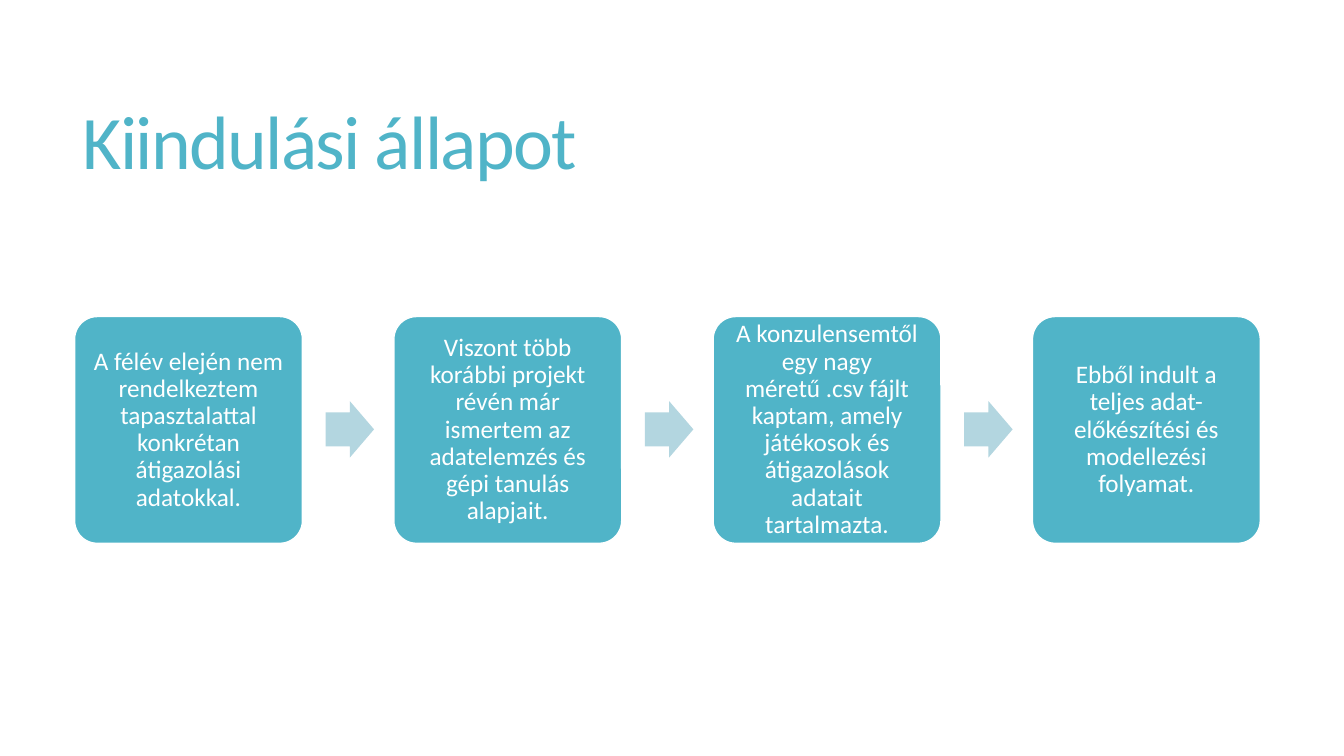
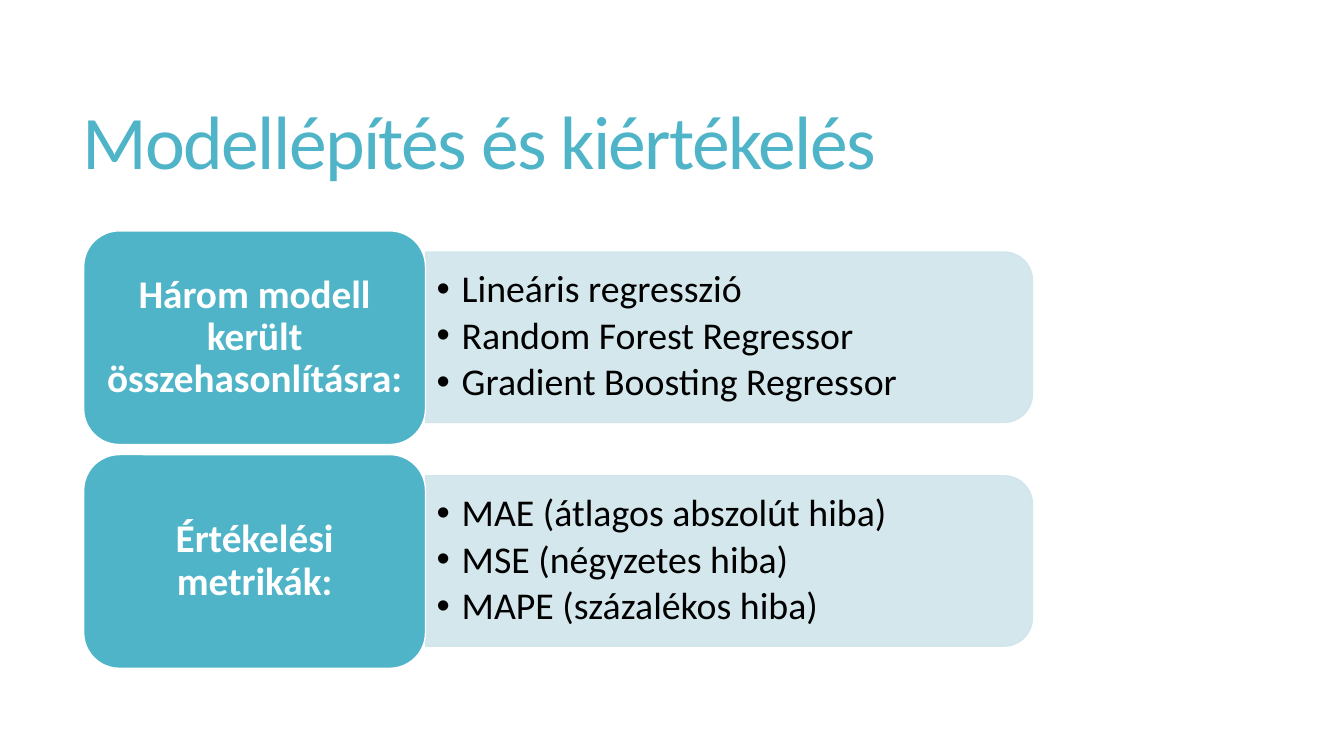
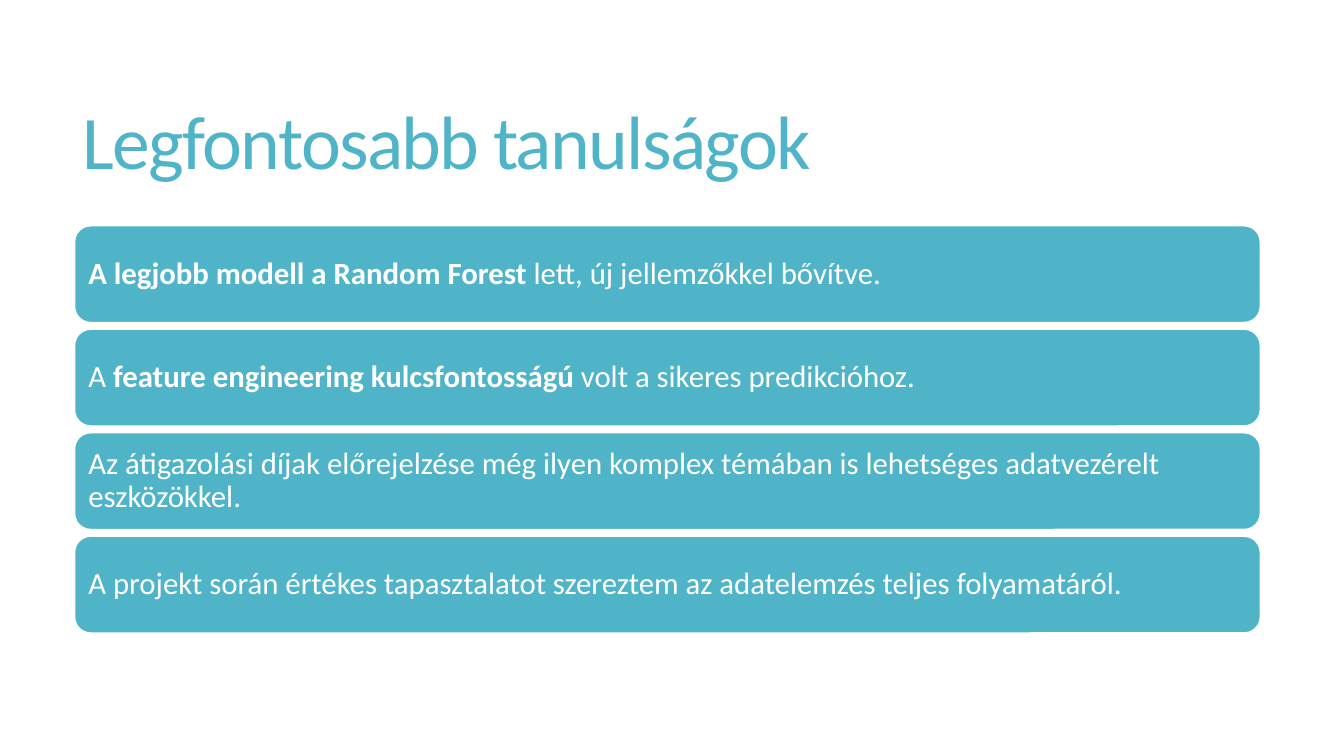
from lxml.etree import SubElement
from pptx import Presentation
from pptx.dml.color import RGBColor
from pptx.enum.shapes import MSO_SHAPE
from pptx.enum.text import MSO_ANCHOR, MSO_AUTO_SIZE, PP_ALIGN
from pptx.oxml.ns import qn
from pptx.util import Inches, Pt

FONT = "Calibri"
TEAL, PALE, MIST = "50B4C8", "B3D6E0", "D0E5EB"
WHITE, BLACK = "FFFFFF", "000000"
LEFT, WIDE = 0.74, 11.76

STEPS = [
    "A félév elején nem rendelkeztem tapasztalattal konkrétan átigazolási adatokkal.",
    "Viszont több korábbi projekt révén már ismertem az adatelemzés és gépi tanulás alapjait.",
    "A konzulensemtől egy nagy méretű .csv fájlt kaptam, amely játékosok és átigazolások adatait tartalmazta.",
    "Ebből indult a teljes adat-előkészítési és modellezési folyamat.",
]
GROUPS = [
    ("*Három modell került összehasonlításra:*",
     ["Lineáris regresszió", "Random Forest Regressor", "Gradient Boosting Regressor"]),
    ("*Értékelési metrikák:*",
     ["MAE (átlagos abszolút hiba)", "MSE (négyzetes hiba)", "MAPE (százalékos hiba)"]),
]
LESSONS = [
    "*A legjobb modell a Random Forest* lett, új jellemzőkkel bővítve.",
    "A *feature engineering kulcsfontosságú* volt a sikeres predikcióhoz.",
    "Az átigazolási díjak előrejelzése még ilyen komplex témában is lehetséges adatvezérelt eszközökkel.",
    "A projekt során értékes tapasztalatot szereztem az adatelemzés teljes folyamatáról.",
]


def paint(target, color):
    """Give a fill or a font a solid hex colour."""
    if hasattr(target, "solid"):
        target.solid()
        target.fore_color.rgb = RGBColor.from_string(color)
    else:
        target.color.rgb = RGBColor.from_string(color)


def style(para, size, color, align=PP_ALIGN.LEFT, space=0.9):
    """Format a paragraph and all its runs."""
    para.alignment = align
    para.line_spacing = space
    for run in para.runs:
        run.font.size = Pt(size)
        run.font.name = FONT
        paint(run.font, color)


def fit(frame, side, edge):
    """Set wrapping, middle anchor and insets of a text frame."""
    frame.word_wrap = True
    frame.auto_size = MSO_AUTO_SIZE.NONE
    frame.vertical_anchor = MSO_ANCHOR.MIDDLE
    frame.margin_left = frame.margin_right = Inches(side)
    frame.margin_top = frame.margin_bottom = Inches(edge)


def new_slide(deck, text):
    """Add a title-only slide with the shared title style."""
    slide = deck.slides.add_slide(deck.slide_layouts[5])
    title = slide.shapes.title
    title.left, title.top = Inches(0.72), Inches(0.55)
    title.width, title.height = Inches(11.78), Inches(1.81)
    fit(title.text_frame, 0.1, 0.05)
    title.text_frame.text = text
    para = title.text_frame.paragraphs[0]
    style(para, 54, TEAL, space=0.85)
    para.runs[0].font._element.set("spc", "-120")
    return slide


def block(slide, kind, box, color, edge=None):
    """Add a filled preset shape with an optional one-point outline."""
    shape = slide.shapes.add_shape(kind, *map(Inches, box))
    shape.shadow.inherit = False
    paint(shape.fill, color)
    if edge:
        paint(shape.line.fill, edge)
        shape.line.width = Pt(1)
    else:
        shape.line.fill.background()
    return shape


def card(slide, box, text, size, inset, align=PP_ALIGN.LEFT, curve=0.1667):
    """Add a teal rounded card; text between asterisks is bold."""
    shape = block(slide, MSO_SHAPE.ROUNDED_RECTANGLE, box, TEAL, WHITE)
    shape.adjustments[0] = curve
    fit(shape.text_frame, *inset)
    para = shape.text_frame.paragraphs[0]
    for i, part in enumerate(text.split("*")):
        if part:
            run = para.add_run()
            run.text = part
            run.font.bold = i % 2 == 1
    style(para, size, WHITE, align)


def arrow(slide, left, top):
    """Add a pale arrow that points to the next card."""
    shape = block(slide, MSO_SHAPE.RIGHT_ARROW, (left, top, 0.48, 0.56), PALE)
    shape.adjustments[0] = 0.6


def panel(slide, left, top, width, height):
    """Add a translucent panel with rounded right corners."""
    turned = (left + (width - height) / 2, top + (height - width) / 2, height, width)
    shape = block(slide, MSO_SHAPE.ROUND_2_SAME_RECTANGLE, turned, MIST, MIST)
    shape.rotation = 90
    for color in shape._element.spPr.iter(qn("a:srgbClr")):
        SubElement(color, qn("a:alpha")).set("val", "90000")


def bullets(slide, box, items):
    """Add a bulleted list."""
    frame = slide.shapes.add_textbox(*map(Inches, box)).text_frame
    fit(frame, 0.11, 0.06)
    frame.text = "\n".join(items)
    for para in frame.paragraphs:
        style(para, 27, BLACK)
        para.space_after = Pt(4)
        props = para._p.get_or_add_pPr()
        props.set("marL", str(Inches(0.25)))
        props.set("indent", str(-Inches(0.25)))
        SubElement(props, qn("a:buFont")).set("typeface", "Arial")
        SubElement(props, qn("a:buChar")).set("char", "•")


def start(deck):
    """Build the row of starting steps."""
    slide = new_slide(deck, "Kiindulási állapot")
    side = 2.26
    pitch = (WIDE - side) / (len(STEPS) - 1)
    for i, text in enumerate(STEPS):
        left = LEFT + i * pitch
        card(slide, (left, 3.14, side, 2.25), text, 18, (0.07, 0.07), PP_ALIGN.CENTER, 0.1)
        if i < len(STEPS) - 1:
            arrow(slide, left + 2.49, 3.98)


def models(deck):
    """Build the cards with their lists."""
    slide = new_slide(deck, "Modellépítés és kiértékelés")
    for i, (head, items) in enumerate(GROUPS):
        top = 2.29 + i * 2.22
        panel(slide, 4.22, top + 0.21, 6.02, 1.69)
        bullets(slide, (4.22, top + 0.29, 5.94, 1.53), items)
        card(slide, (0.83, top, 3.39, 2.12), head, 28, (0.12, 0.06), PP_ALIGN.CENTER)


def lessons(deck):
    """Build the stack of lessons."""
    slide = new_slide(deck, "Legfontosabb tanulságok")
    pitch = 3.08 / (len(LESSONS) - 1)
    for i, text in enumerate(LESSONS):
        card(slide, (LEFT, 2.24 + i * pitch, WIDE, 0.96), text, 22, (0.09, 0.09))


def main():
    """Build and save the deck."""
    deck = Presentation()
    deck.slide_width, deck.slide_height = Inches(13.33), Inches(7.5)
    start(deck)
    models(deck)
    lessons(deck)
    deck.save("out.pptx")


if __name__ == "__main__":
    main()
